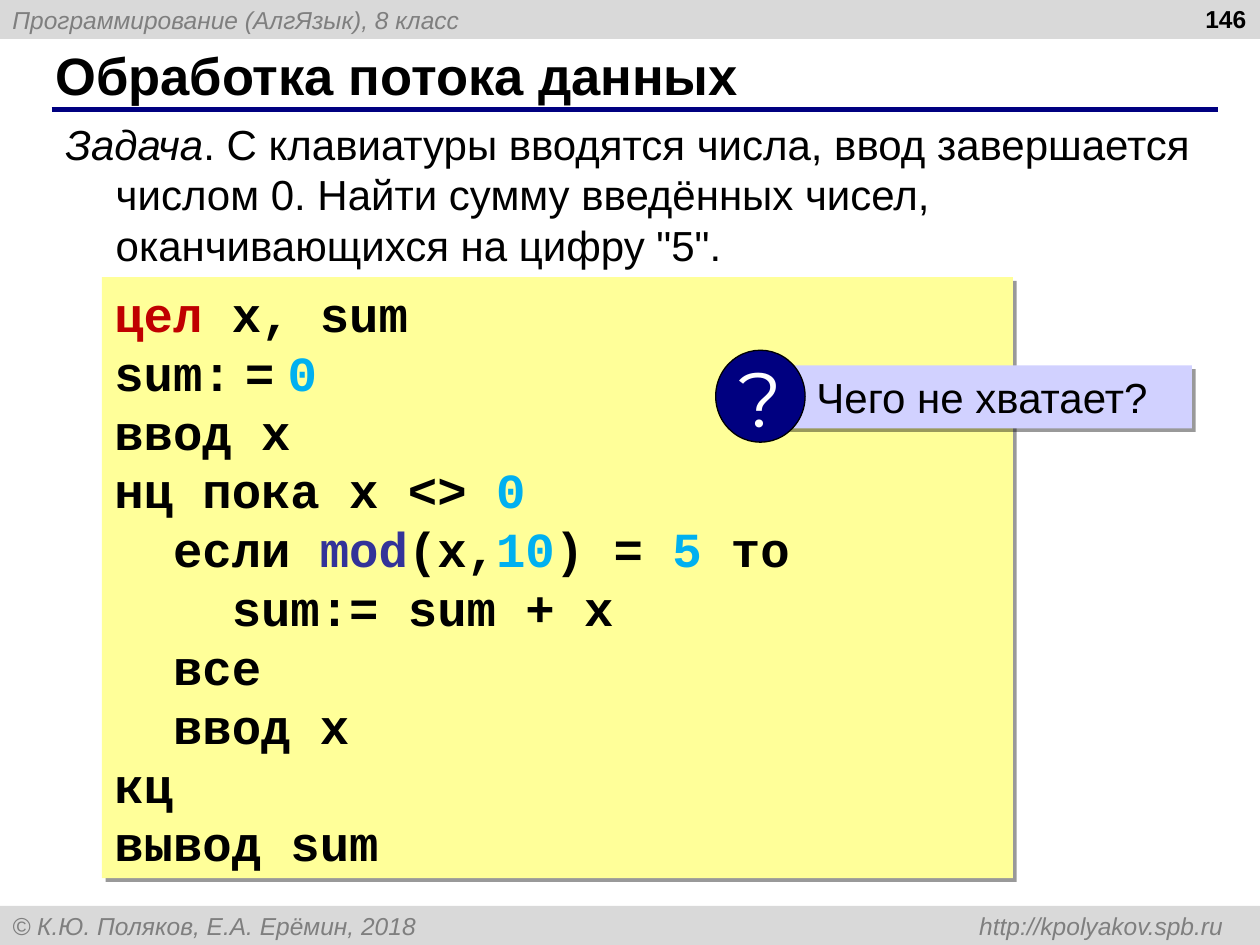
"""Build the slide about processing a stream of numbers."""
from lxml import etree
from pptx import Presentation
from pptx.dml.color import RGBColor
from pptx.enum.shapes import MSO_CONNECTOR, MSO_SHAPE
from pptx.enum.text import MSO_ANCHOR, MSO_AUTO_SIZE, PP_ALIGN
from pptx.oxml.ns import qn
from pptx.util import Inches, Pt

RECTANGLE, OVAL = MSO_SHAPE.RECTANGLE, MSO_SHAPE.OVAL
STRAIGHT = MSO_CONNECTOR.STRAIGHT
TOP, MIDDLE = MSO_ANCHOR.TOP, MSO_ANCHOR.MIDDLE
LEFT, CENTER, RIGHT = PP_ALIGN.LEFT, PP_ALIGN.CENTER, PP_ALIGN.RIGHT
FIXED = MSO_AUTO_SIZE.NONE

BLACK, WHITE, NAVY = "000000", "FFFFFF", "000080"
BAR, MUTED = "D9D9D9", "7F7F7F"
CODE_FILL, HINT_FILL = "FFFF99", "D1D1FF"
KEYWORD, NUMBER, FUNCTION = "C00000", "00B0F0", "333399"

CODE = [
    [("цел ", KEYWORD), ("x, sum", BLACK)],
    [("sum:", BLACK), (" = ", BLACK, "Arial"), ("0", NUMBER)],
    [("ввод x", BLACK)],
    [("нц пока x <> ", BLACK), ("0", NUMBER)],
    [("  если ", BLACK), ("mod", FUNCTION), ("(x,", BLACK), ("10", NUMBER),
     (") = ", BLACK), ("5", NUMBER), (" то", BLACK)],
    [("    sum:= sum + x", BLACK)],
    [("  все", BLACK)],
    [("  ввод x", BLACK)],
    [("кц", BLACK)],
    [("вывод sum", BLACK)],
]


def color(value):
    return RGBColor.from_string(value)


class SlideBuilder:
    """Holds the style and the current slide."""

    font = "Arial"
    code_font = "Courier New"

    def __init__(self, deck):
        self.page = deck.slides.add_slide(deck.slide_layouts[5])

    def style(self, span, size, fill=BLACK, name=None, bold=False, italic=False):
        font = span.font
        font.name, font.size = name or self.font, Pt(size)
        font.bold, font.italic = bold, italic
        font.color.rgb = color(fill)

    def fill_text(self, box, text, size, align=LEFT, anchor=TOP, **look):
        frame = box.text_frame
        frame.text = text
        frame.auto_size = FIXED
        frame.word_wrap = True
        frame.vertical_anchor = anchor
        para = frame.paragraphs[0]
        para.alignment = align
        for span in para.runs:
            self.style(span, size, **look)
        return para

    def title(self, text, *place):
        box = self.page.shapes.title
        box.left, box.top, box.width, box.height = map(Inches, place)
        self.fill_text(box, text, 30, anchor=MIDDLE, bold=True)

    def text(self, text, size, *place, **look):
        box = self.page.shapes.add_textbox(*map(Inches, place))
        return self.fill_text(box, text, size, **look)

    def shape(self, kind, fill, *place, parent=None, shadow=False):
        box = (parent or self.page).shapes.add_shape(kind, *map(Inches, place))
        box.fill.solid()
        box.fill.fore_color.rgb = color(fill)
        box.line.fill.background()
        box.shadow.inherit = False
        if shadow:
            effects = box._element.spPr.find(qn("a:effectLst"))
            outer = etree.SubElement(effects, qn("a:outerShdw"), blurRad="0",
                                     dist=str(Pt(3)), dir="2700000", algn="tl", rotWithShape="0")
            tint = etree.SubElement(outer, qn("a:srgbClr"), val=BLACK)
            etree.SubElement(tint, qn("a:alpha"), val="40000")
        return box

    def bar(self, text, top, tab=None):
        box = self.shape(RECTANGLE, BAR, 0, top, 10, 0.31)
        para = self.fill_text(box, text, 14, anchor=MIDDLE, fill=MUTED, italic=True)
        if tab:
            tabs = etree.SubElement(para._p.get_or_add_pPr(), qn("a:tabLst"))
            etree.SubElement(tabs, qn("a:tab"), pos=str(Inches(tab)), algn="r")

    def rule(self, left, top, right):
        line = self.page.shapes.add_connector(
            STRAIGHT, Inches(left), Inches(top), Inches(right), Inches(top))
        line.line.color.rgb = color(NAVY)
        line.line.width = Pt(3)
        etree.SubElement(line._element.spPr, qn("a:effectLst"))

    def task(self, label, text, *place):
        para = self.text(label, 24, *place, italic=True)
        span = para.add_run()
        span.text = text
        self.style(span, 24)
        properties = para._p.get_or_add_pPr()
        properties.set("marL", str(Inches(0.4)))
        properties.set("indent", str(Inches(-0.4)))

    def code(self, lines, *place):
        box = self.shape(RECTANGLE, CODE_FILL, *place, shadow=True)
        frame = box.text_frame
        frame.text = "\n".join("" for _ in lines)
        frame.vertical_anchor = TOP
        frame.margin_right = 0
        for para, parts in zip(frame.paragraphs, lines):
            para.alignment = LEFT
            for text, fill, *name in parts:
                span = para.add_run()
                span.text = text
                self.style(span, 28, fill, name[0] if name else self.code_font, bold=True)

    def question(self, text):
        group = self.page.shapes.add_group_shape()
        hint = self.shape(RECTANGLE, HINT_FILL, 6.19, 2.9, 3.27, 0.5, parent=group, shadow=True)
        self.fill_text(hint, text, 24)
        hint.text_frame.margin_left = Inches(0.29)
        badge = self.shape(OVAL, NAVY, 5.68, 2.78, 0.71, 0.73, parent=group)
        badge.line.color.rgb = color(BLACK)
        badge.line.width = Pt(0.75)
        self.fill_text(badge, "?", 44, CENTER, MIDDLE, fill=WHITE, name="Montserrat")
        badge.text_frame.word_wrap = False


def main():
    deck = Presentation()
    deck.slide_width, deck.slide_height = Inches(10), Inches(7.5)
    slide = SlideBuilder(deck)
    slide.bar("Программирование (АлгЯзык), 8 класс", 0)
    slide.bar("© К.Ю. Поляков, Е.А. Ерёмин, 2018\thttp://kpolyakov.spb.ru", 7.19, tab=9.61)
    slide.rule(0.41, 0.87, 9.67)
    slide.title("Обработка потока данных", 0.34, 0.33, 9.16, 0.52)
    slide.text("146", 14, 7.66, -0.02, 2.33, 0.52, align=RIGHT, bold=True)
    slide.task("Задача", ". С клавиатуры вводятся числа, ввод завершается числом 0. "
               "Найти сумму введённых чисел, оканчивающихся на цифру \"5\".",
               0.42, 0.89, 9.21, 1.3)
    slide.code(CODE, 0.81, 2.2, 7.23, 4.77)
    slide.question("Чего не хватает?")
    deck.save("out.pptx")


if __name__ == "__main__":
    main()
